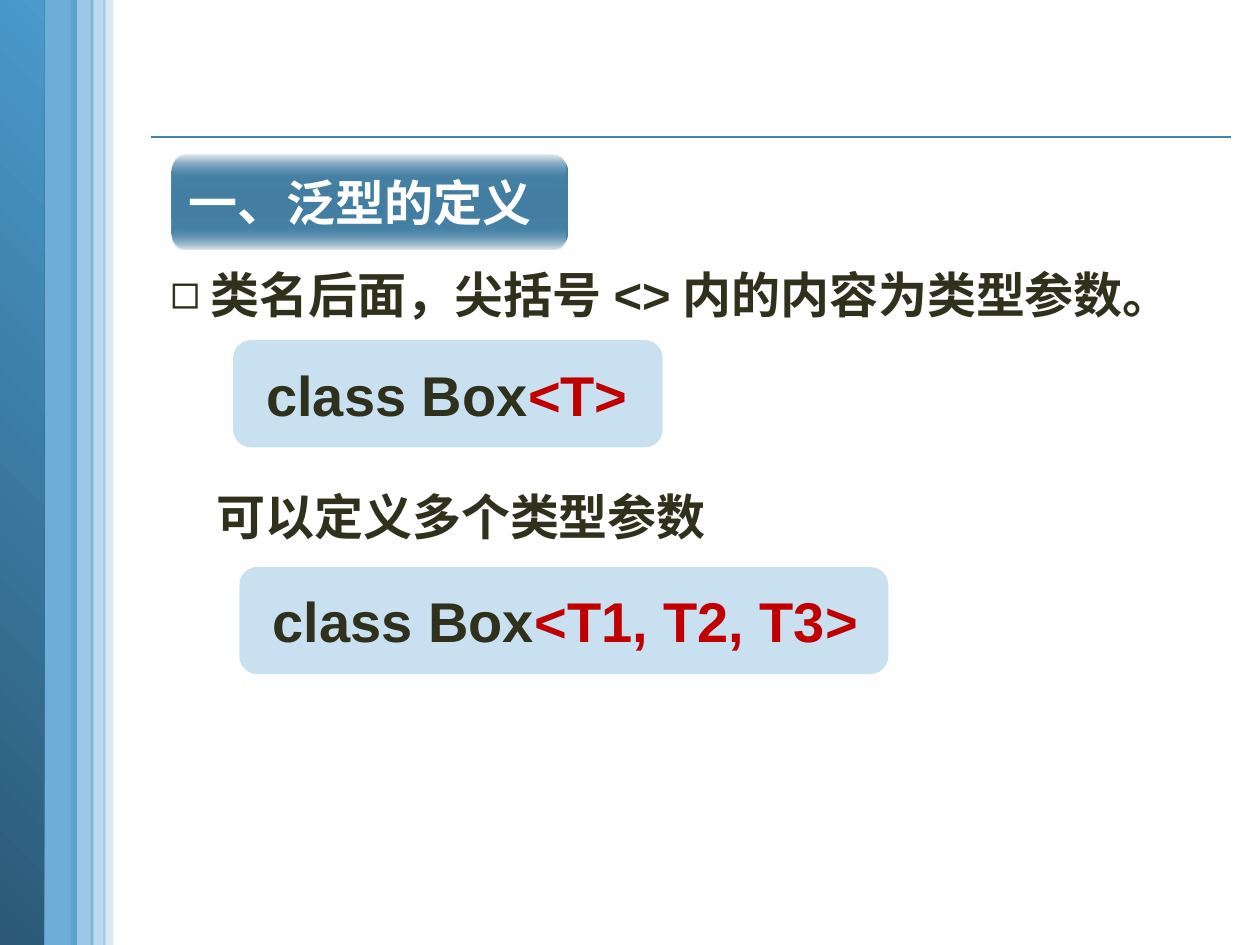
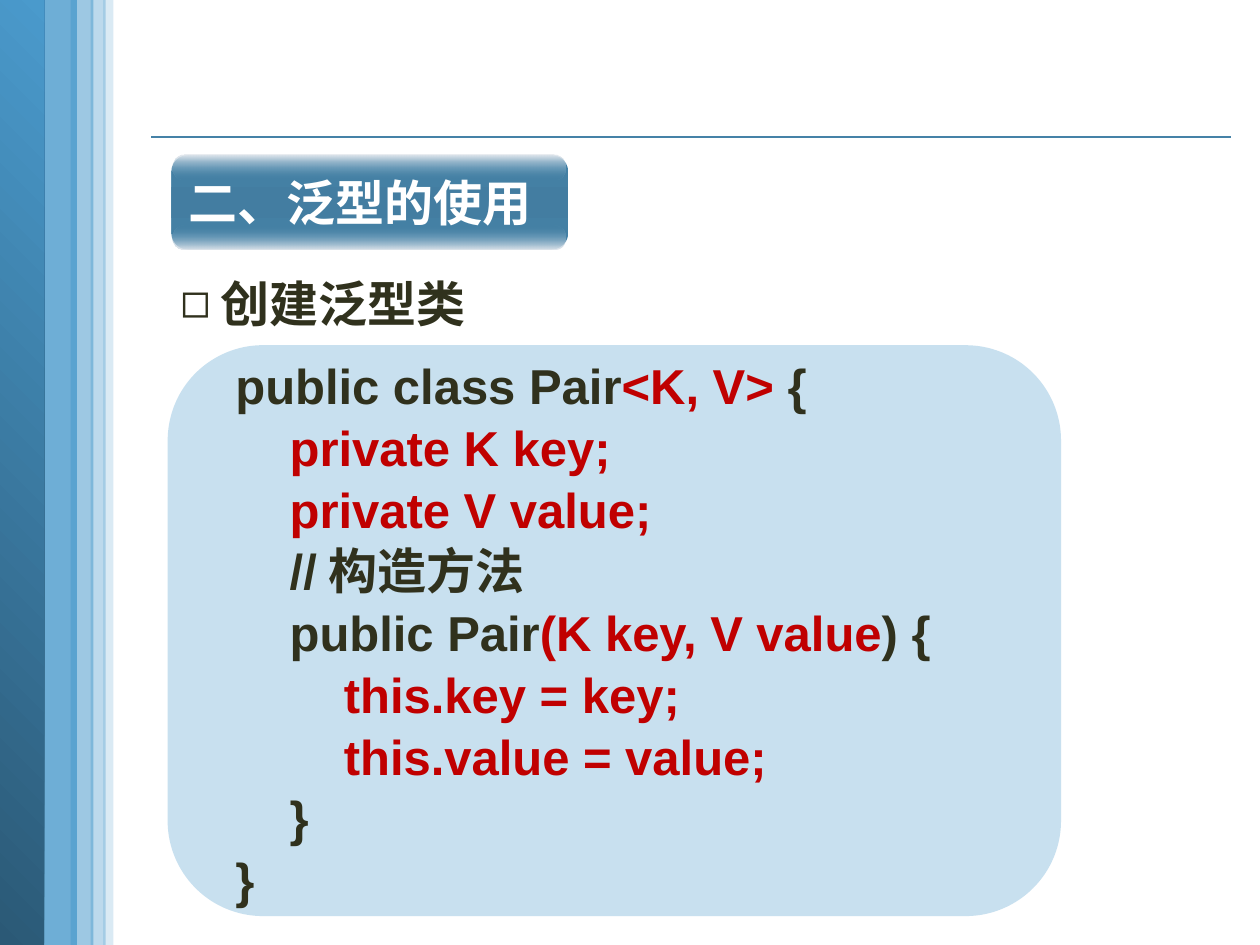
from dataclasses import dataclass
from typing import Optional

from lxml import etree
from pptx import Presentation
from pptx.dml.color import RGBColor
from pptx.enum.shapes import MSO_CONNECTOR, MSO_SHAPE
from pptx.enum.text import MSO_ANCHOR, MSO_AUTO_SIZE, PP_ALIGN
from pptx.oxml.ns import qn
from pptx.util import Pt

RECTANGLE = MSO_SHAPE.RECTANGLE
ROUNDED = MSO_SHAPE.ROUNDED_RECTANGLE
STRAIGHT = MSO_CONNECTOR.STRAIGHT
TOP, MIDDLE = MSO_ANCHOR.TOP, MSO_ANCHOR.MIDDLE
LEFT = PP_ALIGN.LEFT
NO_AUTOFIT = MSO_AUTO_SIZE.NONE

SKY = RGBColor(0x4A, 0x9A, 0xCC)
NAVY = RGBColor(0x2B, 0x59, 0x76)
STEEL = RGBColor(0x45, 0x82, 0xA7)
STEEL_DARK = RGBColor(0x43, 0x7D, 0xA1)
GLOSS_TOP = RGBColor(0xEA, 0xED, 0xF1)
GLOSS_BOTTOM = RGBColor(0xE2, 0xE7, 0xED)
WHITE = RGBColor(0xFF, 0xFF, 0xFF)
INK = RGBColor(0x30, 0x31, 0x1D)
RED = RGBColor(0xC0, 0x00, 0x00)

FONT = "Arial"
TEXT_SIZE = 28
BULLET_INDENT = 23
CODE_INDENT = 31


@dataclass(frozen=True)
class Frame:
    left: float
    top: float
    width: float
    height: float


@dataclass(frozen=True)
class Stop:
    position: int
    color: RGBColor
    alpha: int = 100


@dataclass(frozen=True)
class Panel:
    """A filled shape: one stop gives a plain fill, several a gradient."""
    frame: Frame
    stops: tuple[Stop, ...]
    angle: int = 90
    rounding: Optional[float] = None


@dataclass(frozen=True)
class Span:
    text: str
    color: RGBColor = INK


@dataclass(frozen=True)
class CodeLine:
    spans: tuple[Span, ...]
    level: int = 0


@dataclass(frozen=True)
class CodeBox:
    frame: Frame
    lines: tuple[CodeLine, ...]
    size: int
    inset: float
    spacing: float = 1.0


@dataclass(frozen=True)
class Page:
    heading: str
    point: str
    point_frame: Frame
    code_boxes: tuple[CodeBox, ...]
    remark: Optional[str] = None


def band(left: float, width: float, alpha: int) -> Panel:
    return Panel(Frame(left, 0, width, 540), (Stop(0, SKY, alpha),))


SIDE_BANDS = (
    band(21.6, 22.3, 80),
    Panel(Frame(0, 0, 25.2, 540), (Stop(0, NAVY), Stop(100, SKY)), 315),
    band(59, 5.8, 20),
    band(40.3, 13, 54),
    band(51.8, 8.6, 37),
)
BADGE_FRAME = Frame(97.9, 88.6, 226.8, 54)
HEADING_BADGE = (
    Panel(BADGE_FRAME, (Stop(0, STEEL), Stop(50, STEEL_DARK), Stop(100, STEEL)), rounding=0.175),
    Panel(Frame(98.6, 128.9, 224.6, 13.7), (Stop(0, STEEL, 0), Stop(100, GLOSS_BOTTOM)), rounding=0.5),
    Panel(Frame(98.6, 88.6, 224.6, 13.7), (Stop(0, GLOSS_TOP), Stop(100, STEEL, 0)), rounding=0.5),
)
REMARK_FRAME = Frame(116.6, 274.3, 458, 41)


def signature(frame: Frame, parameters: str) -> CodeBox:
    line = CodeLine((Span("class Box"), Span(parameters, RED)))
    return CodeBox(frame, (line,), size=32, inset=16)


PAIR_CLASS = (
    CodeLine((Span("public class Pair"), Span("<K, V> ", RED), Span("{"))),
    CodeLine((Span("private K key;", RED),), 1),
    CodeLine((Span("private V value;", RED),), 1),
    CodeLine((Span("//构造方法"),), 1),
    CodeLine((Span("public Pair"), Span("(K key, V value", RED), Span(") {")), 1),
    CodeLine((Span("this.key = key;", RED),), 2),
    CodeLine((Span("this.value = value;", RED),), 2),
    CodeLine((Span("}"),), 1),
    CodeLine((Span("}"),)),
)

PAGES = (
    Page(
        "一、泛型的定义",
        "类名后面，尖括号<>内的内容为类型参数。",
        Frame(90, 147.6, 600, 41),
        (
            signature(Frame(133.2, 194.4, 245.5, 61.2), "<T>"),
            signature(Frame(136.8, 324, 370.8, 61.2), "<T1, T2, T3>"),
        ),
        "可以定义多个类型参数",
    ),
    Page(
        "二、泛型的使用",
        "创建泛型类",
        Frame(95.8, 152.6, 576, 41),
        (CodeBox(Frame(95.8, 197.3, 510.5, 326.2), PAIR_CLASS, TEXT_SIZE, 22.8, 1.05),),
    ),
)


def lengths(frame: Frame) -> tuple:
    return Pt(frame.left), Pt(frame.top), Pt(frame.width), Pt(frame.height)


def add_color(parent, color: RGBColor, alpha: int) -> None:
    node = etree.SubElement(parent, qn("a:srgbClr"), val=str(color))
    if alpha < 100:
        etree.SubElement(node, qn("a:alpha"), val=str(alpha * 1000))


def paint(shape, stops: tuple[Stop, ...], angle: int) -> None:
    shape.fill.background()
    empty_fill = shape.element.spPr.find(qn("a:noFill"))
    if len(stops) == 1:
        fill = etree.Element(qn("a:solidFill"))
        add_color(fill, stops[0].color, stops[0].alpha)
    else:
        fill = etree.Element(qn("a:gradFill"), rotWithShape="1")
        stop_list = etree.SubElement(fill, qn("a:gsLst"))
        for stop in stops:
            node = etree.SubElement(stop_list, qn("a:gs"), pos=str(stop.position * 1000))
            add_color(node, stop.color, stop.alpha)
        etree.SubElement(fill, qn("a:lin"), ang=str(angle * 60000), scaled="0")
    shape.element.spPr.replace(empty_fill, fill)


def add_panel(slide, panel: Panel):
    kind = RECTANGLE if panel.rounding is None else ROUNDED
    shape = slide.shapes.add_shape(kind, *lengths(panel.frame))
    if panel.rounding is not None:
        shape.adjustments[0] = panel.rounding
    paint(shape, panel.stops, panel.angle)
    shape.line.fill.background()
    shape.shadow.inherit = False
    return shape


def add_title_rule(slide):
    rule = slide.shapes.add_connector(STRAIGHT, Pt(86.4), Pt(78.5), Pt(703.4), Pt(78.5))
    rule.line.color.rgb = STEEL
    rule.line.width = Pt(1)
    etree.SubElement(rule.element.spPr, qn("a:effectLst"))
    return rule


def decorate_layout(slide, layout) -> None:
    """Draw the shared decoration on a slide, then hand it to the layout."""
    decoration = [add_title_rule(slide)]
    decoration += [add_panel(slide, panel) for panel in SIDE_BANDS + HEADING_BADGE]
    for index, shape in enumerate(decoration):
        shape.element.xpath(".//p:cNvPr")[0].set("id", str(100 + index))
        layout.shapes.element.insert(2 + index, shape.element)


def format_span(span, color: RGBColor, size: int = TEXT_SIZE) -> None:
    span.font.name = FONT
    span.font.size = Pt(size)
    span.font.bold = True
    span.font.color.rgb = color


def set_indent(para, margin: float, first: float = 0) -> None:
    properties = para._p.get_or_add_pPr()
    properties.set("marL", str(Pt(margin)))
    properties.set("indent", str(Pt(first)))


def write_line(box, text: str, frame: Frame, color: RGBColor, anchor=TOP):
    box.left, box.top, box.width, box.height = lengths(frame)
    text_frame = box.text_frame
    text_frame.text = text
    text_frame.word_wrap = True
    text_frame.auto_size = NO_AUTOFIT
    text_frame.vertical_anchor = anchor
    para = text_frame.paragraphs[0]
    para.alignment = LEFT
    para.space_before = Pt(0)
    format_span(para.runs[0], color)
    return para


def add_code_box(slide, code: CodeBox) -> None:
    shape = add_panel(slide, Panel(code.frame, (Stop(0, SKY, 30),), rounding=0.167))
    text_frame = shape.text_frame
    text_frame.word_wrap = True
    text_frame.vertical_anchor = MIDDLE
    text_frame.margin_left = Pt(code.inset)
    for index, line in enumerate(code.lines):
        para = text_frame.add_paragraph() if index else text_frame.paragraphs[0]
        para.alignment = LEFT
        para.line_spacing = code.spacing
        set_indent(para, CODE_INDENT * line.level)
        for part in line.spans:
            span = para.add_run()
            span.text = part.text
            format_span(span, part.color, code.size)


def fill_page(slide, page: Page) -> None:
    title, body = slide.placeholders
    write_line(title, page.heading, BADGE_FRAME, WHITE, MIDDLE)
    title.text_frame.margin_left = Pt(10)
    para = write_line(body, page.point, page.point_frame, INK)
    set_indent(para, BULLET_INDENT, -BULLET_INDENT)
    etree.SubElement(para._p.get_or_add_pPr(), qn("a:buChar"), char="◻")
    for code in page.code_boxes:
        add_code_box(slide, code)
    if page.remark:
        box = slide.shapes.add_textbox(*lengths(REMARK_FRAME))
        write_line(box, page.remark, REMARK_FRAME, INK)


def main() -> None:
    deck = Presentation()
    deck.slide_width, deck.slide_height = Pt(720), Pt(540)
    layout = deck.slide_layouts[1]
    slides = [deck.slides.add_slide(layout) for _ in PAGES]
    decorate_layout(slides[0], layout)
    for slide, page in zip(slides, PAGES):
        fill_page(slide, page)
    deck.save("out.pptx")


if __name__ == "__main__":
    main()
